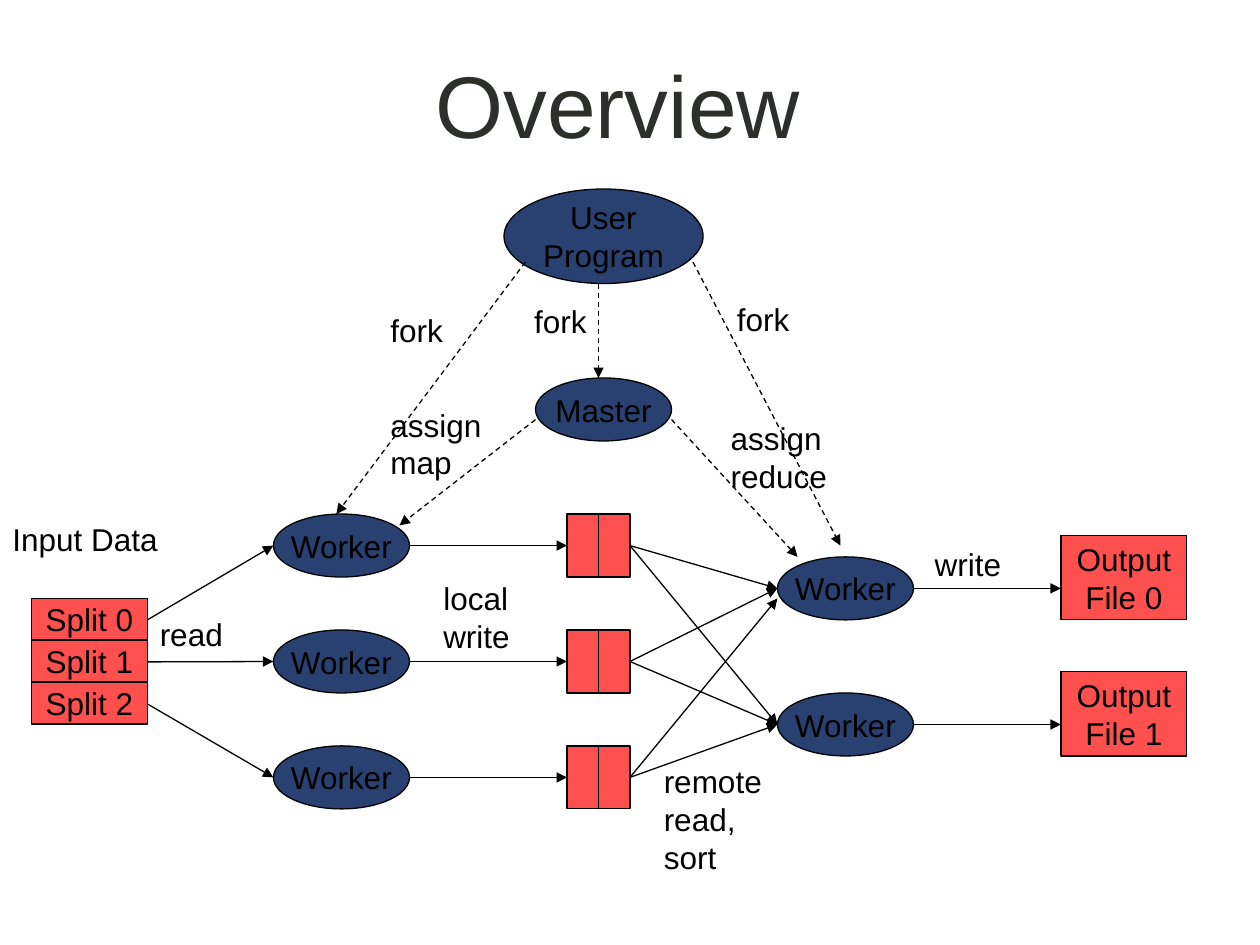
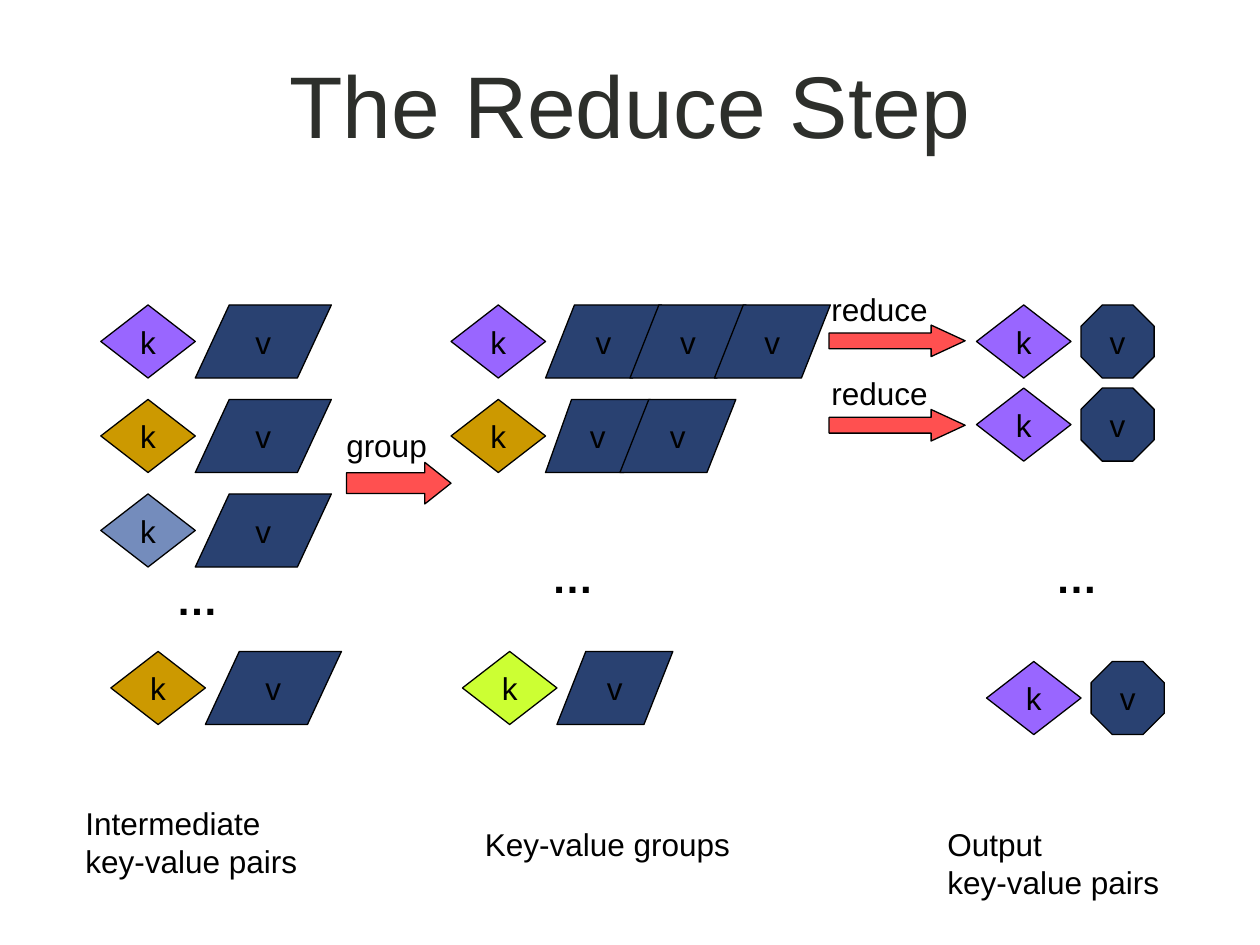
from lxml.etree import SubElement
from pptx import Presentation
from pptx.dml.color import RGBColor
from pptx.enum.dml import MSO_LINE
from pptx.enum.shapes import MSO_CONNECTOR, MSO_SHAPE
from pptx.enum.text import MSO_ANCHOR, MSO_AUTO_SIZE, PP_ALIGN
from pptx.oxml.ns import qn
from pptx.util import Inches, Pt

FONT = "Arial"
COLORS = {
    "title": "2D2F2B",
    "black": "000000",
    "navy": "294171",
    "red": "FF5050",
    "purple": "9966FF",
    "gold": "CC9900",
    "blue": "748CBC",
    "lime": "CCFF33",
}


def add_item(slide, box, text="", kind=None, fill=None, adjustments=(), size=18):
    """Add a filled, outlined shape, or a plain label when no kind is given."""
    lengths = [Inches(value) for value in box]
    if kind is None:
        shape = slide.shapes.add_textbox(*lengths)
        shape.text_frame.auto_size = MSO_AUTO_SIZE.SHAPE_TO_FIT_TEXT
    else:
        shape = slide.shapes.add_shape(kind, *lengths)
        shape.shadow.inherit = False
        shape.fill.solid()
        shape.fill.fore_color.rgb = RGBColor.from_string(COLORS[fill])
        shape.line.color.rgb = RGBColor.from_string(COLORS["black"])
        shape.line.width = Pt(0.75)
        shape.text_frame.vertical_anchor = MSO_ANCHOR.MIDDLE
        for index, value in enumerate(adjustments):
            shape.adjustments[index] = value
    shape.text_frame.word_wrap = False
    shape.text_frame.text = text
    for paragraph in shape.text_frame.paragraphs:
        paragraph.alignment = PP_ALIGN.CENTER if kind else PP_ALIGN.LEFT
        for run in paragraph.runs:
            run.font.name = FONT
            run.font.size = Pt(size)
            run.font.bold = size > 18
            run.font.color.rgb = RGBColor.from_string(COLORS["black"])


def add_arrow(slide, start, end, dashed=False):
    points = [Inches(value) for value in (*start, *end)]
    connector = slide.shapes.add_connector(MSO_CONNECTOR.STRAIGHT, *points)
    connector.line.color.rgb = RGBColor.from_string(COLORS["black"])
    connector.line.width = Pt(0.75)
    if dashed:
        connector.line.dash_style = MSO_LINE.DASH
    SubElement(connector.line._get_or_add_ln(), qn("a:tailEnd"), type="triangle")
    SubElement(connector._element.spPr, qn("a:effectLst"))


presentation = Presentation()
presentation.slide_width = Inches(10)
presentation.slide_height = Inches(7.5)

slides = []
for heading in ("Overview ", "The Reduce Step"):
    slide = presentation.slides.add_slide(presentation.slide_layouts[5])
    title = slide.shapes.title
    title.left, title.top = Inches(0.75), Inches(0.07)
    title.width, title.height = Inches(8.5), Inches(1.5)
    title.text_frame.text = heading
    title.text_frame.vertical_anchor = MSO_ANCHOR.MIDDLE
    paragraph = title.text_frame.paragraphs[0]
    paragraph.alignment = PP_ALIGN.CENTER
    font = paragraph.runs[0].font
    font.name, font.size = FONT, Pt(50)
    font.color.rgb = RGBColor.from_string(COLORS["title"])
    slides.append(slide)
overview, reduce_step = slides

# Overview: processes
map_tops = [4.08 + 0.92 * row for row in range(3)]
reduce_tops = [4.42, 5.5]
add_item(overview, (4, 1.5, 1.58, 0.75), "User\nProgram", MSO_SHAPE.OVAL, "navy")
workers = [(2.17, top) for top in map_tops] + [(6.17, top) for top in reduce_tops]
for name, (left, top) in [("Master", (4.25, 3))] + [("Worker", spot) for spot in workers]:
    add_item(overview, (left, top, 1.08, 0.5), name, MSO_SHAPE.OVAL, "navy")

# Overview: forks and assignments
for start, end in (
    ((4.75, 2.25), (4.75, 3)),
    ((4.17, 2.08), (2.67, 4.08)),
    ((5.5, 2.08), (6.67, 4.33)),
    ((4.25, 3.33), (3.17, 4.17)),
    ((5.33, 3.33), (6.33, 4.42)),
):
    add_arrow(overview, start, end, dashed=True)

# Overview: splits, map workers and their local files
for row, top in enumerate(map_tops):
    middle = top + 0.25
    split_top = 4.75 + row / 3
    add_item(overview, (0.25, split_top, 0.92, 0.33), f"Split {row}", MSO_SHAPE.RECTANGLE, "red")
    add_arrow(overview, (1.17, split_top + 0.17), (2.17, middle))
    for left in (4.5, 4.75):
        add_item(overview, (left, top, 0.25, 0.5), "", MSO_SHAPE.RECTANGLE, "red")
    add_arrow(overview, (3.25, middle), (4.5, middle))
    add_arrow(overview, (5, middle), (6.17, 4.75 if row == 2 else 4.67))
    add_arrow(overview, (5, middle), (6.17, 5.75))

# Overview: reduce workers and output files
for number, top in enumerate(reduce_tops):
    add_item(overview, (8.42, top - 0.17, 1, 0.67), f"Output\nFile {number}",
             MSO_SHAPE.RECTANGLE, "red")
    add_arrow(overview, (7.25, top + 0.25), (8.42, top + 0.25))

for text, box in (
    ("fork", (3, 2.42, 0.69, 0.4)),
    ("fork", (4.14, 2.35, 0.69, 0.4)),
    ("fork", (5.75, 2.33, 0.69, 0.4)),
    ("assign\nmap", (3, 3.17, 0.99, 0.7)),
    ("assign\nreduce", (5.7, 3.28, 1.05, 0.7)),
    ("Input Data", (0, 4.08, 1.56, 0.4)),
    ("read", (1.17, 4.83, 0.76, 0.4)),
    ("local\nwrite", (3.42, 4.55, 0.83, 0.7)),
    ("remote\nread,\nsort", (5.17, 6, 1.1, 1)),
    ("write", (7.32, 4.28, 0.83, 0.4)),
):
    add_item(overview, box, text)

# Reduce step: each row is a key followed by its values (left, width)
SIDE = 0.58
intermediate_rows = [(0.8, 2.42, "purple"), (0.8, 3.17, "gold"),
                     (0.8, 3.92, "blue"), (0.88, 5.17, "gold")]
output_rows = [(7.75, 2.42), (7.75, 3.08), (7.83, 5.25)]
key_rows = [(left, top, color, MSO_SHAPE.PARALLELOGRAM, [(left + 0.75, 1.08)])
            for left, top, color in intermediate_rows]
key_rows += [
    (3.58, 2.42, "purple", MSO_SHAPE.PARALLELOGRAM, [(4.33, 0.92), (5, 0.92), (5.67, 0.92)]),
    (3.58, 3.17, "gold", MSO_SHAPE.PARALLELOGRAM, [(4.33, 0.83), (4.92, 0.92)]),
    (3.67, 5.17, "lime", MSO_SHAPE.PARALLELOGRAM, [(4.42, 0.92)]),
]
key_rows += [(left, top, "purple", MSO_SHAPE.OCTAGON, [(left + 0.83, SIDE)])
             for left, top in output_rows]
for left, top, color, value_kind, values in key_rows:
    add_item(reduce_step, (left, top, 0.75, SIDE), "k", MSO_SHAPE.DIAMOND, color)
    for value_left, width in values:
        slant = 0.29 if value_kind == MSO_SHAPE.OCTAGON else 0.43 * width
        add_item(reduce_step, (value_left, top, width, SIDE), "v", value_kind, "navy", [slant])

for left, top, width, height, head in (
    (2.75, 3.67, 0.83, 0.33, 0.63),
    (6.58, 2.58, 1.08, 0.25, 1.08),
    (6.58, 3.25, 1.08, 0.25, 1.08),
):
    add_item(reduce_step, (left, top, width, height), "", MSO_SHAPE.RIGHT_ARROW, "red", [0.5, head])

for left, top in ((1.3, 4.5), (4.28, 4.33), (8.28, 4.33)):
    add_item(reduce_step, (left, top, 0.55, 0.5), "…", size=24)

for text, box in (
    ("group", (2.65, 3.33, 0.93, 0.4)),
    ("reduce", (6.5, 2.25, 1.05, 0.4)),
    ("reduce", (6.5, 2.92, 1.05, 0.4)),
    ("Intermediate\nkey-value pairs", (0.58, 6.33, 2.13, 0.7)),
    ("Key-value groups", (3.75, 6.5, 2.15, 0.4)),
    ("Output\nkey-value pairs", (7.42, 6.5, 1.88, 0.7)),
):
    add_item(reduce_step, box, text)

presentation.save("out.pptx")
